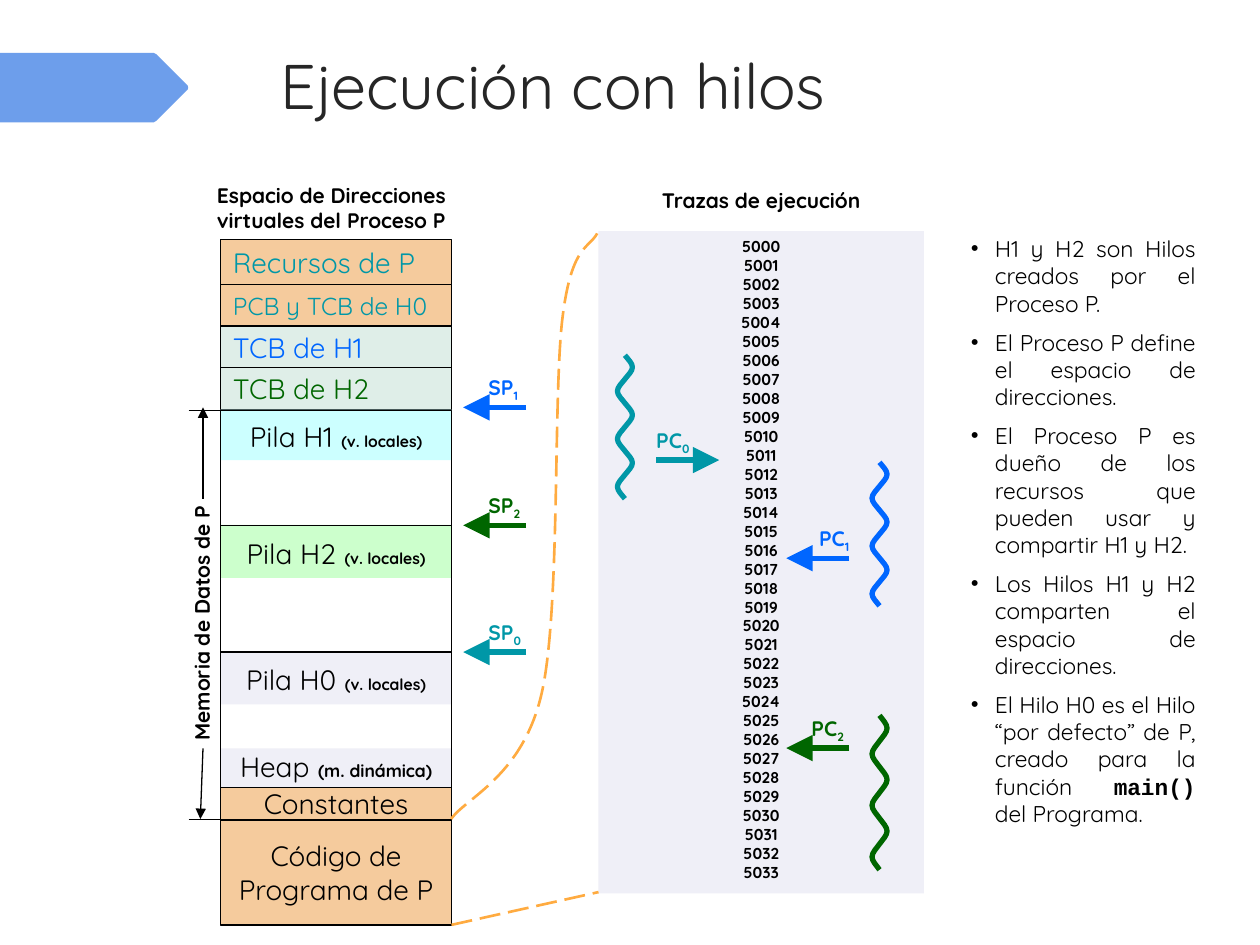
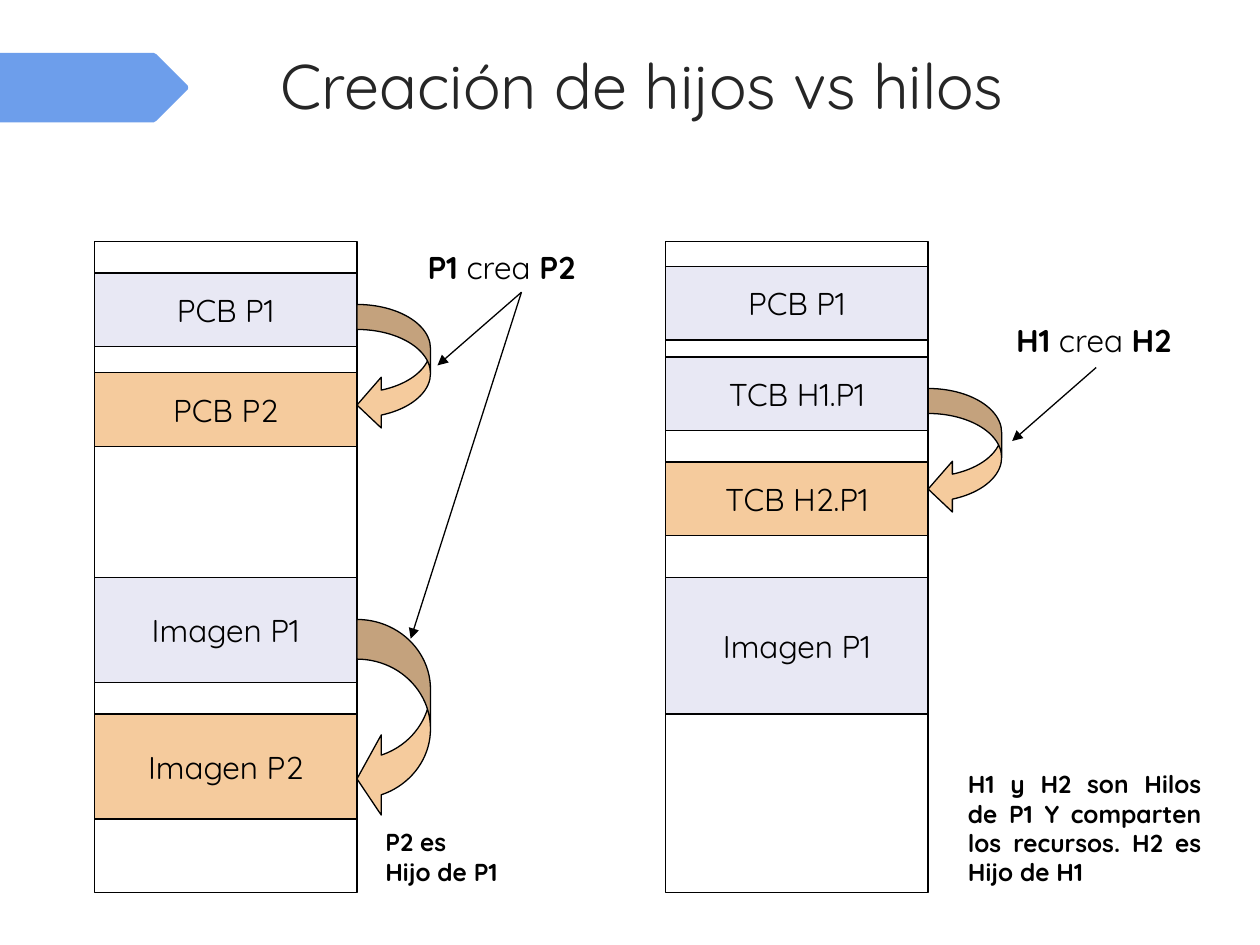
from dataclasses import dataclass

import lxml.etree
import pptx
import pptx.dml.color
import pptx.enum.dml
import pptx.enum.shapes
import pptx.enum.text
import pptx.oxml.ns
import pptx.util

Pt = pptx.util.Pt
SHAPE = pptx.enum.shapes.MSO_SHAPE
ALIGN = pptx.enum.text.PP_ALIGN
ANCHOR = pptx.enum.text.MSO_ANCHOR
qn = pptx.oxml.ns.qn


@dataclass(frozen=True)
class Theme:
    font: str = "Quicksand"
    code_font: str = "Courier New"
    ink: str = "000000"
    title_ink: str = "262626"
    band: str = "6D9EEB"
    orange: str = "F5CB9D"
    mint: str = "DFEEE8"
    pale: str = "EFEFF7"
    lilac: str = "E8E8F4"
    cyan: str = "CCFFFF"
    lime: str = "CCFFCC"
    white: str = "FFFFFF"
    dash: str = "FFAB40"
    thread0: str = "0097A7"
    thread1: str = "0066FF"
    thread2: str = "006600"
    title: float = 36
    label: float = 18
    block: float = 16
    note: float = 14
    bullet: float = 13
    caption: float = 12
    detail: float = 10
    trace: float = 9
    thin: float = 0.75
    medium: float = 1.5
    thick: float = 3


THEME = Theme()

# Content: slide 1
SPACE_LEFT, SPACE_WIDTH, SPACE_TOP = 126, 132, 136.8
SPACE_RIGHT = SPACE_LEFT + SPACE_WIDTH
DATA_TOP, DATA_BOTTOM = 234.5, 468.3
CONTROL_BLOCKS = [  # text, height, fill, text colour, size
    ("Recursos de P", 25.8, THEME.orange, THEME.thread0, THEME.block),
    ("PCB y TCB de H0", 23.8, THEME.orange, THEME.thread0, THEME.note),
    ("TCB de H1", 23.8, THEME.mint, THEME.thread1, THEME.block),
    ("TCB de H2", 23.8, THEME.mint, THEME.thread2, THEME.block),
]
DATA_BLOCKS = [  # name, detail, detail size, top, height, fill
    ("Pila H1", "(v. locales)", THEME.trace, 234, 29, THEME.cyan),
    ("Pila H2", "(v. locales)", THEME.trace, 300, 30.2, THEME.lime),
    ("Pila H0", "(v. locales)", THEME.trace, 372.6, 30, THEME.pale),
    ("Heap", "(m. dinámica)", THEME.detail, 427.6, 18.7, THEME.pale),
]
PROGRAM_BLOCKS = [  # lines, top, height
    (["Constantes"], 450, 18.5),
    (["Código de", "Programa de P"], 468.6, 60),
]
POINTERS = [  # register, thread, start x, head x, y, alignment
    ("SP", 1, 300.7, 264.7, 232.8, ALIGN.LEFT),
    ("SP", 2, 300.7, 264.7, 300.2, ALIGN.LEFT),
    ("SP", 0, 300.7, 264.7, 372.6, ALIGN.LEFT),
    ("PC", 0, 375, 411, 262.9, ALIGN.LEFT),
    ("PC", 1, 485.3, 449.3, 319, ALIGN.RIGHT),
    ("PC", 2, 485.3, 449.3, 427.5, ALIGN.LEFT),
]
THREAD_COLORS = [THEME.thread0, THEME.thread1, THEME.thread2]
WAVES = [(357.1, 203, 82), (502.6, 264.2, 82), (502.6, 408.8, 88.2)]  # centre x, top, height
TRACE_BOX = (342, 132, 186, 378.5)
TRACES = range(5000, 5034)
NOTES = [
    [("H1 y H2 son Hilos creados por el Proceso P.", {})],
    [("El Proceso P define el espacio de direcciones.", {})],
    [("El Proceso P es dueño de los recursos que pueden usar y compartir H1 y H2.", {})],
    [("Los Hilos H1 y H2 comparten el espacio de direcciones.", {})],
    [("El Hilo H0 es el Hilo “por defecto” de P, creado para la función ", {}),
     ("main()", {"name": THEME.code_font, "bold": True}),
     (" del Programa.", {})],
]
ZOOM_CURVE = [  # start, then two controls and an end per segment
    (257.8, 468), (266.4, 455.8), (298.8, 443.5), (309.6, 396),
    (320.4, 348.5), (316, 225.4), (321.5, 181.4),
    (326.9, 137.5), (337.7, 142.6), (342, 131.8),
]

# Content: slide 2
MEMORY_TOP, MEMORY_WIDTH, MEMORY_HEIGHT = 138.2, 150, 372
MEMORIES = [  # left, blocks of (text, top, height, fill)
    (54, [("PCB P1", 156, 42, THEME.lilac), ("PCB P2", 213, 42, THEME.orange),
          ("Imagen P1", 330, 60, THEME.lilac), ("Imagen P2", 408, 60, THEME.orange)]),
    (380.4, [("PCB P1", 152.4, 42, THEME.lilac), ("TCB H1.P1", 204, 42, THEME.lilac),
             ("TCB H2.P1", 264, 42, THEME.orange), ("Imagen P1", 330, 78, THEME.lilac)]),
]
CURVED_ARROWS = [  # left, top, height, adjustments
    (204, 354, 114, (0.54, 1.09, 0.33)),
    (204, 174, 72, (0.34, 0.69, 0.33)),
    (530.4, 222, 72, (0.34, 0.69, 0.33)),
]
CREATIONS = [  # parent, child, text box, start, arrow ends
    ("P1", "P2", (237.2, 138.2, 104, 29), (298, 167), [(250, 208.8), (234.7, 365)]),
    ("H1", "H2", (573.6, 180, 106, 29), (626.4, 210), [(578.4, 252)]),
]
REMARKS = [  # lines, box, alignment
    (["P2 es", "Hijo de P1"], (213.1, 469.2, 84, 41), ALIGN.LEFT),
    (["H1 y H2 son Hilos de P1 Y comparten los recursos. H2 es Hijo de H1"],
     (546, 436, 147.6, 74.2), ALIGN.JUSTIFY),
]


# Helpers
def color(value):
    return pptx.dml.color.RGBColor.from_string(value)


def set_attributes(target, values):
    for name, value in values.items():
        setattr(target, name, value)


def paint(shape, fill=None, line=None, width=THEME.thin):
    shape.shadow.inherit = False
    if fill:
        shape.fill.solid()
        shape.fill.fore_color.rgb = color(fill)
    else:
        shape.fill.background()
    if line:
        shape.line.color.rgb = color(line)
        shape.line.width = Pt(width)
    else:
        shape.line.fill.background()


def add_bullet(paragraph, indent):
    properties = paragraph._p.get_or_add_pPr()
    properties.set("marL", str(Pt(indent)))
    properties.set("indent", str(-Pt(indent)))
    bullet_color = lxml.etree.SubElement(properties, qn("a:buClr"))
    lxml.etree.SubElement(bullet_color, qn("a:srgbClr"), val=THEME.ink)
    lxml.etree.SubElement(properties, qn("a:buFont"), typeface=THEME.font)
    lxml.etree.SubElement(properties, qn("a:buChar"), char="•")


def write(shape, paragraphs, size, ink=THEME.ink, bold=False, align=ALIGN.LEFT,
          anchor=ANCHOR.TOP, inset=True, bullet_indent=0, gap=0):
    """Each paragraph is a string or a list of (text, formats) runs."""
    frame = shape.text_frame
    side, edge = (7.2, 3.6) if inset else (0, 0)
    set_attributes(frame, {
        "word_wrap": True, "vertical_anchor": anchor,
        "margin_left": Pt(side), "margin_right": Pt(side),
        "margin_top": Pt(edge), "margin_bottom": Pt(edge)})
    for index, runs in enumerate(paragraphs):
        paragraph = frame.add_paragraph() if index else frame.paragraphs[0]
        paragraph.alignment = align
        if bullet_indent:
            add_bullet(paragraph, bullet_indent)
        if index and gap:
            paragraph.space_before = Pt(gap)
        for text, formats in [(runs, {})] if isinstance(runs, str) else runs:
            run = paragraph.add_run()
            run.text = text
            values = {"name": THEME.font, "size": Pt(size), "bold": bold, **formats}
            baseline = values.pop("baseline", None)
            set_attributes(run.font, values)
            run.font.color.rgb = color(ink)
            if baseline:
                run._r.get_or_add_rPr().set("baseline", str(baseline))


def add_text(slide, box, paragraphs, size, **formats):
    shape = slide.shapes.add_textbox(*map(Pt, box))
    write(shape, paragraphs, size, **formats)
    return shape


def add_block(slide, box, fill=None, line=THEME.ink, paragraphs=(), size=THEME.block,
              align=ALIGN.CENTER, anchor=ANCHOR.MIDDLE, **formats):
    shape = slide.shapes.add_shape(SHAPE.RECTANGLE, *map(Pt, box))
    paint(shape, fill, line)
    if paragraphs:
        write(shape, paragraphs, size, align=align, anchor=anchor, **formats)


def add_line(slide, start, end, ink=THEME.ink, width=THEME.thin, head=None):
    line = slide.shapes.add_connector(
        pptx.enum.shapes.MSO_CONNECTOR.STRAIGHT, *map(Pt, (*start, *end)))
    line.line.color.rgb = color(ink)
    line.line.width = Pt(width)
    if head:
        lxml.etree.SubElement(line.line._get_or_add_ln(), qn("a:tailEnd"),
                              type="triangle", w=head, len=head)
    lxml.etree.SubElement(line._element.spPr, qn("a:effectLst"))


def bend(shape):
    """Turn every three straight segments into one cubic curve."""
    segments = list(shape._element.iter(qn("a:lnTo")))
    for first in range(0, len(segments), 3):
        curve = lxml.etree.Element(qn("a:cubicBezTo"))
        segments[first].addprevious(curve)
        for segment in segments[first:first + 3]:
            curve.append(segment[0])
            segment.getparent().remove(segment)


def add_outline(slide, points, close=False, curved=False, dashed=False, **colors):
    corners = [(Pt(x), Pt(y)) for x, y in points]
    builder = slide.shapes.build_freeform(*corners[0])
    builder.add_line_segments(corners[1:], close=close)
    shape = builder.convert_to_shape()
    paint(shape, **colors)
    if curved:
        bend(shape)
    if dashed:
        shape.line.dash_style = pptx.enum.dml.MSO_LINE.LONG_DASH


def wave_points(center, top, height, quarters=12, amplitude=4.3):
    sides = [(0, 1, 0, -1)[index % 4] for index in range(quarters + 1)]
    step = height / quarters
    points = [(center, top)]
    for index, (side, following) in enumerate(zip(sides, sides[1:])):
        y = top + index * step
        points += [(center + amplitude * (side or 0.4 * following), y + step / 3),
                   (center + amplitude * (following or 0.4 * side), y + step * 2 / 3),
                   (center + amplitude * following, y + step)]
    return points


def start_slide(presentation, title):
    slide = presentation.slides.add_slide(presentation.slide_layouts[6])
    band = [(0, 30.2), (87.8, 30.2), (89.3, 31), (107.3, 49), (107.6, 50.2),
            (107.3, 51.2), (89.3, 69.1), (87.8, 70), (0, 70)]
    add_outline(slide, band, close=True, fill=THEME.band)
    add_text(slide, (153.2, 23.2, 519, 62.6), [title], THEME.title, ink=THEME.title_ink)
    return slide


def build_threads(presentation):
    slide = start_slide(presentation, "Ejecución con hilos")
    caption = {"size": THEME.caption, "bold": True}

    # Address space
    add_text(slide, (107.3, 100.8, 164.2, 36),
             ["Espacio de Direcciones virtuales del Proceso P"],
             align=ALIGN.CENTER, anchor=ANCHOR.MIDDLE, **caption)
    top = SPACE_TOP
    for text, height, fill, ink, size in CONTROL_BLOCKS:
        add_block(slide, (SPACE_LEFT, top, SPACE_WIDTH, height), fill,
                  paragraphs=[text], size=size, ink=ink, align=ALIGN.LEFT)
        top += height
    add_block(slide, (SPACE_LEFT, 432.7, SPACE_WIDTH, 18), THEME.pale, line=None)
    for name, detail, size, top, height, fill in DATA_BLOCKS:
        runs = [(name, {}), (" ", {"size": Pt(THEME.label)}),
                (detail, {"size": Pt(size), "bold": True})]
        add_block(slide, (SPACE_LEFT, top, SPACE_WIDTH, height), fill, line=None,
                  paragraphs=[runs])
    for y in (300.2, 372.6):
        add_line(slide, (SPACE_LEFT, y), (SPACE_RIGHT, y))
    for lines, top, height in PROGRAM_BLOCKS:
        add_block(slide, (SPACE_LEFT, top, SPACE_WIDTH, height), THEME.orange,
                  paragraphs=lines)
    add_block(slide, (SPACE_LEFT, DATA_TOP, SPACE_WIDTH, DATA_BOTTOM - DATA_TOP))

    # Data memory bracket
    label = add_text(slide, (43.9, 344.7, 142.6, 14.4), ["Memoria de Datos de P"],
                     inset=False, **caption)
    label.rotation = 270
    add_line(slide, (116, 285), (116, 232.8), head="med")
    add_line(slide, (116, 427.7), (114.5, 468), head="med")
    for y in (DATA_TOP, DATA_BOTTOM):
        add_line(slide, (107.8, y), (SPACE_LEFT, y))

    # Execution traces
    add_text(slide, (342, 103.7, 186, 21.6), ["Trazas de ejecución"],
             align=ALIGN.CENTER, anchor=ANCHOR.MIDDLE, **caption)
    add_block(slide, TRACE_BOX, THEME.pale, line=None, paragraphs=list(map(str, TRACES)),
              size=THEME.trace, bold=True, anchor=ANCHOR.TOP)
    zoom = {"dashed": True, "line": THEME.dash, "width": THEME.medium}
    add_outline(slide, ZOOM_CURVE, curved=True, **zoom)
    add_outline(slide, [(SPACE_RIGHT, 528.5), (342, 509.8)], **zoom)

    # Threads and their registers
    for wave, ink in zip(WAVES, THREAD_COLORS):
        add_outline(slide, wave_points(*wave), curved=True, line=ink, width=THEME.thick)
    for register, thread, start, end, y, align in POINTERS:
        ink = THREAD_COLORS[thread]
        add_line(slide, (start, y), (end, y), ink, THEME.thick, head="lg")
        left = start if end > start else start - 21.6
        add_text(slide, (left, y - 18.8, 21.6, 14.4),
                 [[(register, {}), (str(thread), {"baseline": -25000})]],
                 ink=ink, align=align, inset=False, **caption)

    # Notes
    add_text(slide, (547.8, 130.7, 142.4, 380), NOTES, THEME.bullet,
             align=ALIGN.JUSTIFY, bullet_indent=13.7, gap=6.5)


def build_creation(presentation):
    slide = start_slide(presentation, "Creación de hijos vs hilos")

    # Memory columns
    for left, blocks in MEMORIES:
        add_block(slide, (left, MEMORY_TOP, MEMORY_WIDTH, MEMORY_HEIGHT), THEME.white)
        for text, top, height, fill in blocks:
            add_block(slide, (left, top, MEMORY_WIDTH, height), fill,
                      paragraphs=[text], size=THEME.label)

    # Who creates whom
    for left, top, height, adjustments in CURVED_ARROWS:
        arrow = slide.shapes.add_shape(SHAPE.CURVED_LEFT_ARROW,
                                       *map(Pt, (left, top, 42, height)))
        paint(arrow, THEME.orange, THEME.ink)
        for index, value in enumerate(adjustments):
            arrow.adjustments[index] = value
    for parent, child, box, start, ends in CREATIONS:
        add_text(slide, box, [[(parent, {}), (" crea ", {"bold": False}), (child, {})]],
                 THEME.label, bold=True)
        for end in ends:
            add_line(slide, start, end, head="med")

    # Remarks
    for lines, box, align in REMARKS:
        add_text(slide, box, lines, THEME.note, bold=True, align=align)


def main():
    presentation = pptx.Presentation()
    presentation.slide_width, presentation.slide_height = Pt(720), Pt(540)
    build_threads(presentation)
    build_creation(presentation)
    presentation.save("out.pptx")


if __name__ == "__main__":
    main()
